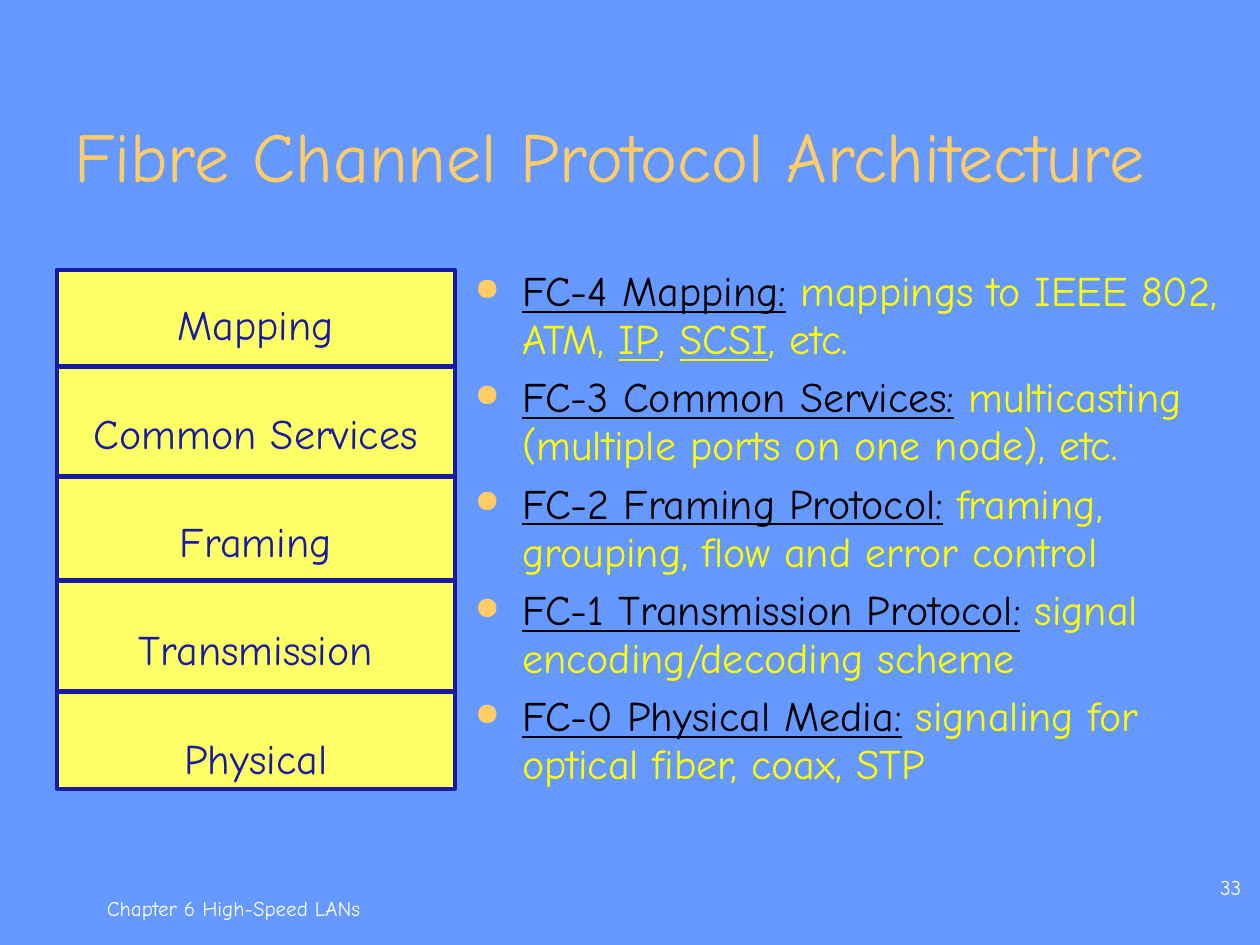
from dataclasses import dataclass

from lxml import etree
from pptx import Presentation
from pptx.dml.color import RGBColor as Rgb
from pptx.enum import shapes, text
from pptx.oxml import ns
from pptx.util import Pt


@dataclass(frozen=True)
class Theme:
    """Colours, font and type sizes of the slide."""
    back: str = "6699FF"
    gold: str = "FFCC66"
    lemon: str = "FFFF66"
    navy: str = "181BA2"
    key: str = "000000"
    note: str = "FFFF00"
    white: str = "FFFFFF"
    face: str = "Comic Neue"
    head: int = 40
    body: int = 24
    foot: int = 12


T = Theme()
MID = text.MSO_ANCHOR.MIDDLE
LOW = text.MSO_ANCHOR.BOTTOM
LEFT = text.PP_ALIGN.LEFT
RIGHT = text.PP_ALIGN.RIGHT
MIDST = text.PP_ALIGN.CENTER

LAYERS = ["Mapping", "Common Services", "Framing", "Transmission", "Physical"]
RULES = [209.5, 272.2, 331.9, 395.3]
ITEMS = [
    ("FC-4 Mapping:", " mappings to IEEE 802, ATM, |IP|, |SCSI|, etc."),
    ("FC-3 Common Services:", " multicasting (multiple ports on one node), etc."),
    ("FC-2 Framing Protocol:", " framing, grouping, flow and error control"),
    ("FC-1 Transmission Protocol:", " signal encoding/decoding scheme"),
    ("FC-0 Physical Media:", " signaling for optical fiber, coax, STP"),
]


def put(item, **form):
    """Set attributes of an object from format values."""
    for name, value in form.items():
        setattr(item, name, value)


def place(shape, left, top, width, height):
    """Move and size a shape in points."""
    put(shape, left=Pt(left), top=Pt(top), width=Pt(width), height=Pt(height))


def frame(shape, anchor, side=7.2, top=3.6, base=3.6):
    """Set wrap, anchor and margins, and return the text frame."""
    body = shape.text_frame
    put(body, word_wrap=True, auto_size=text.MSO_AUTO_SIZE.NONE,
        vertical_anchor=anchor, margin_left=Pt(side), margin_right=Pt(side),
        margin_top=Pt(top), margin_bottom=Pt(base))
    return body


def paras(body, count):
    """Return the given number of paragraphs of a frame."""
    return [body.paragraphs[0]] + [body.add_paragraph() for _ in range(count - 1)]


def write(para, words, size, tint, line=False):
    """Add a run of text to a paragraph."""
    run = para.add_run()
    run.text = words
    put(run.font, name=T.face, size=Pt(size), underline=line, bold=False)
    run.font.color.rgb = Rgb.from_string(tint)


def label(slide, box, words, align, anchor, pad):
    """Add a small white line of text."""
    shape = slide.shapes.add_textbox(*map(Pt, box))
    para = frame(shape, anchor, top=pad, base=pad).paragraphs[0]
    para.alignment = align
    write(para, words, T.foot, T.white)


def title(slide, words):
    """Place and fill the title."""
    shape = slide.shapes.title
    place(shape, 35.3, 43.2, 659.5, 90)
    para = frame(shape, MID).paragraphs[0]
    para.alignment = LEFT
    write(para, words, T.head, T.gold)


def bullet(para):
    """Give a paragraph a hanging gold bullet."""
    props = para._p.get_or_add_pPr()
    put_in = {"marL": Pt(27), "indent": Pt(-27)}
    for name, value in put_in.items():
        props.set(name, str(int(value)))
    tint = etree.SubElement(props, ns.qn("a:buClr"))
    etree.SubElement(tint, ns.qn("a:srgbClr"), val=T.gold)
    etree.SubElement(props, ns.qn("a:buSzPct"), val="75000")
    etree.SubElement(props, ns.qn("a:buChar"), char="●")


def points(slide):
    """Add the list of layers with their roles."""
    shape = slide.shapes.add_textbox(*map(Pt, (257, 149.8, 460, 322.5)))
    body = frame(shape, text.MSO_ANCHOR.TOP, side=14.4)
    for at, (para, (name, role)) in enumerate(zip(paras(body, len(ITEMS)), ITEMS)):
        bullet(para)
        put(para, line_spacing=0.95, space_before=Pt(6 if at else 0))
        write(para, name, T.body, T.key, True)
        for part, words in enumerate(role.split("|")):
            write(para, words, T.body, T.note, part % 2 == 1)


def stack(slide):
    """Add the block of layer names and its dividing lines."""
    box = slide.shapes.add_shape(
        shapes.MSO_SHAPE.RECTANGLE, *map(Pt, (32.4, 154.1, 227.5, 296.6)))
    box.shadow.inherit = False
    box.fill.solid()
    box.fill.fore_color.rgb = Rgb.from_string(T.lemon)
    stroke(box, 2.25)
    body = frame(box, LOW, top=0)
    for para, name in zip(paras(body, len(LAYERS)), LAYERS):
        put(para, alignment=MIDST, line_spacing=2.15)
        write(para, name, T.body, T.navy)
    for y in RULES:
        rule(slide, 33.1, 259.2, y)


def stroke(shape, width):
    """Give a shape a navy line."""
    shape.line.color.rgb = Rgb.from_string(T.navy)
    shape.line.width = Pt(width)


def rule(slide, start, end, y):
    """Add a level dividing line."""
    line = slide.shapes.add_connector(
        shapes.MSO_CONNECTOR.STRAIGHT, *map(Pt, (start, y, end, y)))
    stroke(line, 3)
    etree.SubElement(line._element.spPr, ns.qn("a:effectLst"))


def main():
    """Build and save the slide."""
    deck = Presentation()
    put(deck, slide_width=Pt(720), slide_height=Pt(540))
    slide = deck.slides.add_slide(deck.slide_layouts[5])
    fill = slide.background.fill
    fill.solid()
    fill.fore_color.rgb = Rgb.from_string(T.back)
    title(slide, "Fibre Channel Protocol Architecture")
    points(slide)
    stack(slide)
    label(slide, (54, 501.1, 336.2, 36), "Chapter 6 High-Speed LANs", LEFT, MID, 3.6)
    label(slide, (566.6, 483.8, 149.8, 30.2), "33", RIGHT, LOW, 0)
    deck.save("out.pptx")


if __name__ == "__main__":
    main()
